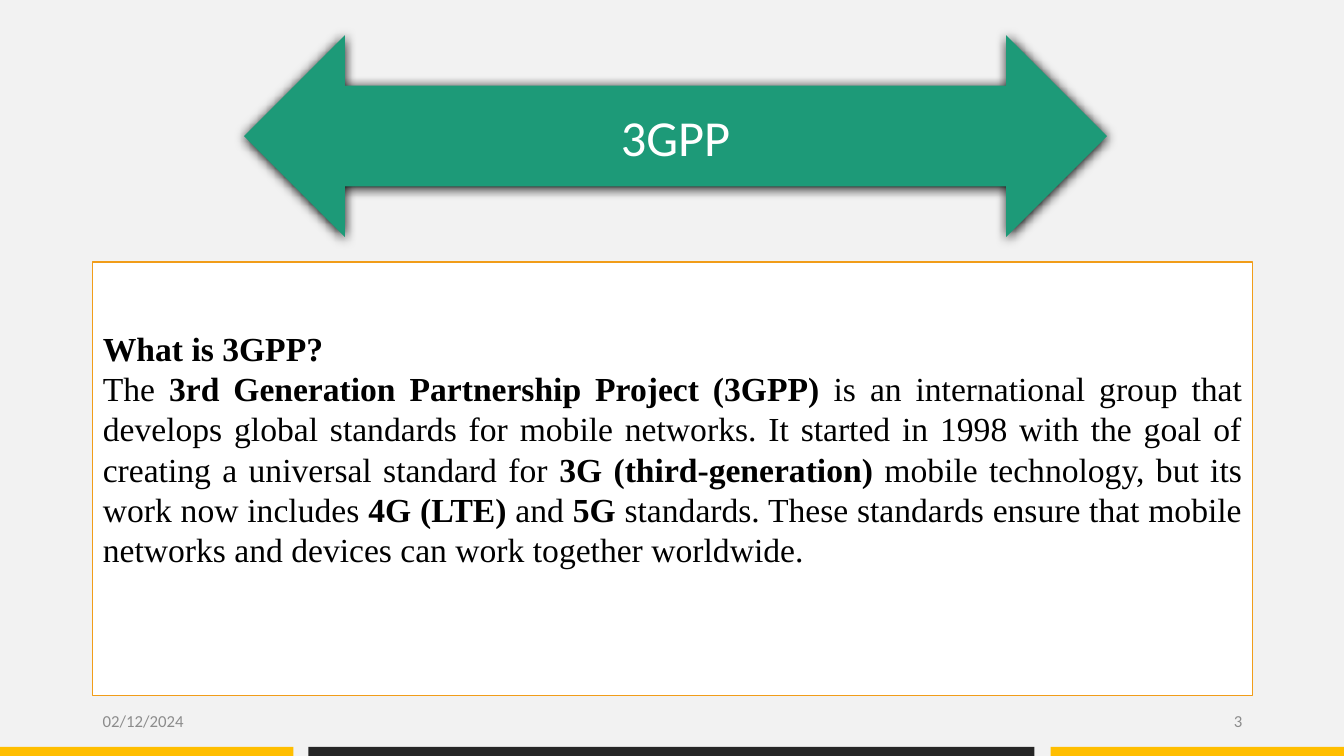
from dataclasses import dataclass

from lxml import etree
from pptx import Presentation
from pptx import util as u
from pptx.dml.color import RGBColor
from pptx.enum import shapes, text
from pptx.oxml import ns


@dataclass(frozen=True)
class Theme:
    background: str = "F2F2F2"
    yellow: str = "FFBE00"
    dark: str = "262626"
    green: str = "1D9A78"
    white: str = "FFFFFF"
    border: str = "F19D19"
    black: str = "000000"
    grey: str = "8C8C8C"
    sans: str = "Calibri"
    serif: str = "Times New Roman"
    title_size: int = 36
    body_size: int = 24
    footer_size: int = 12


THEME = Theme()

DEFINITION = [
    [("What is 3GPP?", True)],
    [
        ("The ", False),
        ("3rd Generation Partnership Project (3GPP)", True),
        (" is an international group that develops global standards for mobile "
         "networks. It started in 1998 with the goal of creating a universal "
         "standard for ", False),
        ("3G (third-generation)", True),
        (" mobile technology, but its work now includes ", False),
        ("4G (LTE)", True),
        (" and ", False),
        ("5G", True),
        (" standards. These standards ensure that mobile networks and devices "
         "can work together worldwide.", False),
    ],
]


def place(element, left, top, width, height):
    element.left, element.top = u.Inches(left), u.Inches(top)
    element.width, element.height = u.Inches(width), u.Inches(height)


def write(frame, paragraphs, *, size, color, font=THEME.sans,
          align=text.PP_ALIGN.LEFT):
    frame.word_wrap = True
    frame.auto_size = text.MSO_AUTO_SIZE.NONE
    frame.vertical_anchor = text.MSO_ANCHOR.MIDDLE
    for index, runs in enumerate(paragraphs):
        paragraph = frame.add_paragraph() if index else frame.paragraphs[0]
        paragraph.alignment = align
        paragraph.space_before = u.Pt(0)
        for words, bold in runs:
            run = paragraph.add_run()
            run.text = words
            run.font.name = font
            run.font.size = u.Pt(size)
            run.font.bold = bold
            run.font.color.rgb = RGBColor.from_string(color)


def fill_with(element, color):
    element.fill.solid()
    element.fill.fore_color.rgb = RGBColor.from_string(color)


def add_block(slide, preset, bounds, color):
    block = slide.shapes.add_shape(preset, *map(u.Inches, bounds))
    block.shadow.inherit = False
    fill_with(block, color)
    block.line.fill.background()
    return block


def add_shadow(block):
    effects = block._element.spPr.find(ns.qn("a:effectLst"))
    shadow = etree.SubElement(
        effects, ns.qn("a:outerShdw"), blurRad=str(u.Pt(8.5)),
        dist=str(u.Pt(1)), dir="5400000", algn="ctr", rotWithShape="0")
    color = etree.SubElement(shadow, ns.qn("a:srgbClr"), val=THEME.black)
    etree.SubElement(color, ns.qn("a:alpha"), val="100000")


def remove_bullets(frame):
    for paragraph in frame.paragraphs:
        properties = paragraph._p.get_or_add_pPr()
        properties.set("marL", "0")
        properties.set("indent", "0")
        etree.SubElement(properties, ns.qn("a:buNone"))


def add_footer(slide, words, left, align):
    footer = slide.shapes.add_textbox(
        *map(u.Inches, (left, 6.95, 3, 0.4)))
    write(footer.text_frame, [[(words, False)]], size=THEME.footer_size,
          color=THEME.grey, align=align)


def add_title(slide, words):
    bounds = (2.42, 0.35, 8.56, 2)
    arrow = add_block(slide, shapes.MSO_SHAPE.LEFT_RIGHT_ARROW, bounds,
                      THEME.green)
    add_shadow(arrow)
    title = slide.shapes.title
    arrow._element.addnext(title._element)
    place(title, *bounds)
    write(title.text_frame, [[(words, False)]], size=THEME.title_size,
          color=THEME.white, align=text.PP_ALIGN.CENTER)


def add_definition(slide, paragraphs):
    definition = slide.placeholders[1]
    place(definition, 0.92, 2.6, 11.5, 4.3)
    fill_with(definition, THEME.white)
    definition.line.color.rgb = RGBColor.from_string(THEME.border)
    definition.line.width = u.Pt(1)
    write(definition.text_frame, paragraphs, size=THEME.body_size,
          color=THEME.black, font=THEME.serif, align=text.PP_ALIGN.JUSTIFY)
    remove_bullets(definition.text_frame)
    definition.text_frame.margin_bottom = u.Inches(0.65)


def main():
    deck = Presentation()
    deck.slide_width, deck.slide_height = u.Inches(13.33), u.Inches(7.5)
    slide = deck.slides.add_slide(deck.slide_layouts[1])
    fill_with(slide.background, THEME.background)

    for left, width, color in ((0, 2.91, THEME.yellow),
                               (3.06, 7.2, THEME.dark),
                               (10.42, 2.91, THEME.yellow)):
        add_block(slide, shapes.MSO_SHAPE.RECTANGLE,
                  (left, 7.41, width, 0.09), color)

    add_footer(slide, "3", 9.42, text.PP_ALIGN.RIGHT)
    add_footer(slide, "02/12/2024", 0.92, text.PP_ALIGN.LEFT)
    add_title(slide, "3GPP")
    add_definition(slide, DEFINITION)
    deck.save("out.pptx")


if __name__ == "__main__":
    main()
